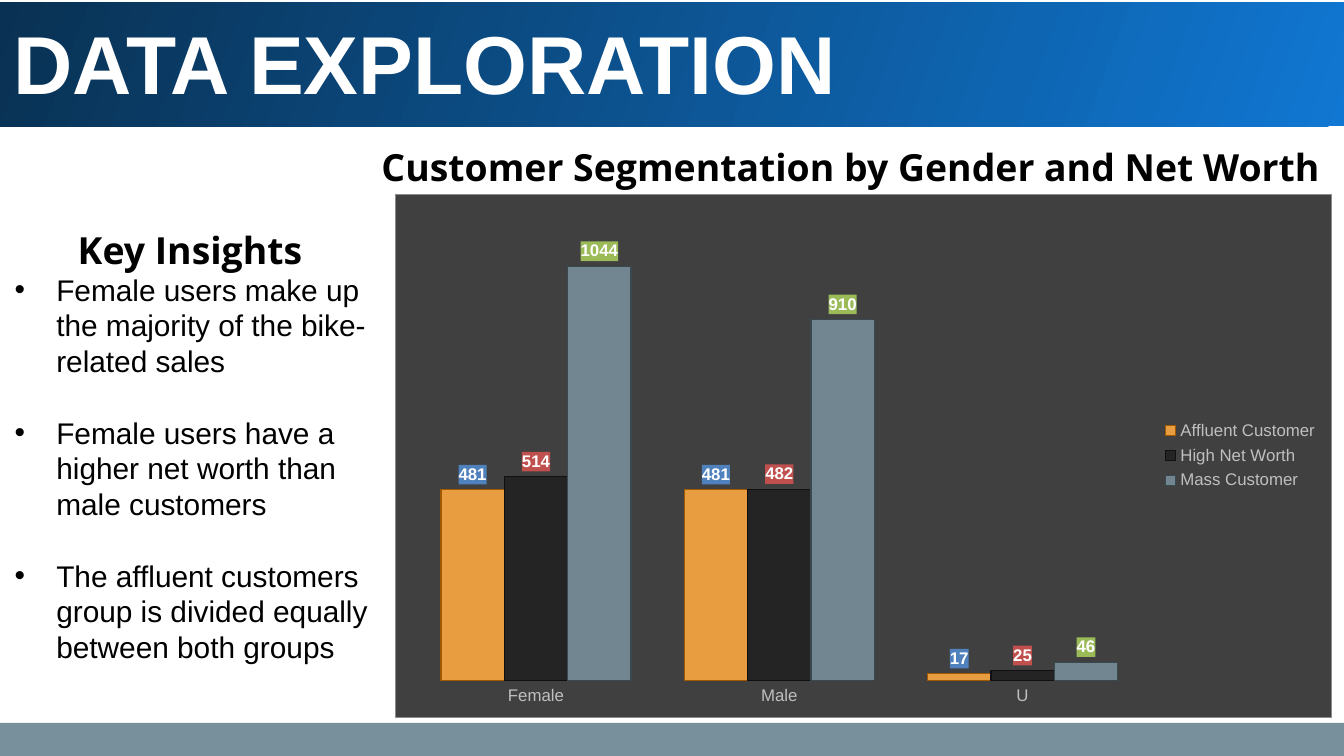
from dataclasses import dataclass

from lxml.etree import SubElement
from pptx import Presentation
from pptx.chart.data import CategoryChartData
from pptx.dml.color import RGBColor
from pptx.enum.chart import XL_CHART_TYPE, XL_LABEL_POSITION, XL_LEGEND_POSITION, XL_TICK_MARK
from pptx.enum.shapes import MSO_SHAPE
from pptx.enum.text import MSO_ANCHOR, MSO_AUTO_SIZE, PP_ALIGN
from pptx.oxml import parse_xml
from pptx.oxml.ns import nsdecls, qn
from pptx.util import Inches, Pt

Box = tuple[float, float, float, float]


@dataclass
class Style:
    size: float
    color: str = "000000"
    name: str = "Arial"
    bold: bool = False


@dataclass
class Segment:
    name: str
    values: tuple[int, ...]
    color: str
    line: str
    label_fill: str


HEADING = Style(20, name="Open Sans", bold=True)
BODY = Style(16)
TITLE = Style(44, "FFFFFF", bold=True)
AXIS = Style(9, "BFBFBF")
LABEL = Style(9, "FFFFFF", bold=True)

SEGMENTS = [
    Segment("Affluent Customer", (481, 481, 17), "FFAB40", "A05900", "4F81BD"),
    Segment("High Net Worth", (514, 482, 25), "212121", "101010", "C0504D"),
    Segment("Mass Customer", (1044, 910, 46), "78909C", "3A4950", "9BBB59"),
]
INSIGHTS = [
    "Female users make up the majority of the bike-related sales",
    "Female users have a higher net worth than male customers",
    "The affluent customers group is divided equally between both groups",
]


def rgb(value: str) -> RGBColor:
    """Turn a hex string into a colour."""
    return RGBColor.from_string(value)


def set_font(font, style: Style) -> None:
    """Apply a style to a font."""
    for key, value in {"size": Pt(style.size), "bold": style.bold, "name": style.name}.items():
        setattr(font, key, value)
    font.color.rgb = rgb(style.color)


def place(sp, box: Box) -> None:
    """Move and size a shape."""
    for key, value in zip(("left", "top", "width", "height"), box):
        setattr(sp, key, Inches(value))


def write(sp, lines: list[str], style: Style, inset: float = 0.1, **paragraph) -> None:
    """Fill a text shape, one paragraph a line."""
    tf = sp.text_frame
    frame = {f"margin_{side}": Inches(inset) for side in ("left", "top", "right", "bottom")}
    frame |= {"word_wrap": True, "auto_size": MSO_AUTO_SIZE.SHAPE_TO_FIT_TEXT,
              "vertical_anchor": MSO_ANCHOR.TOP}
    for key, value in frame.items():
        setattr(tf, key, value)
    for i, line in enumerate(lines):
        p = tf.add_paragraph() if i else tf.paragraphs[0]
        for key, value in ({"alignment": PP_ALIGN.LEFT} | paragraph).items():
            setattr(p, key, value)
        r = p.add_run()
        r.text = line
        set_font(r.font, style)


def add_text(s, box: Box, lines: list[str], style: Style, **options):
    """Add a text box and return it."""
    sp = s.shapes.add_textbox(*map(Inches, box))
    write(sp, lines, style, **options)
    return sp


def add_bar(s, box: Box):
    """Add a plain rectangle without line or shadow and return its fill."""
    sp = s.shapes.add_shape(MSO_SHAPE.RECTANGLE, *map(Inches, box))
    sp.shadow.inherit = False
    sp.line.fill.background()
    return sp.fill


def add_bullets(sp) -> None:
    """Give every paragraph a hanging bullet."""
    for p in sp.text_frame.paragraphs:
        pPr = p._p.get_or_add_pPr()
        pPr.set("marL", str(Inches(0.31)))
        pPr.set("indent", str(-Inches(0.31)))
        SubElement(pPr, qn("a:buFont")).set("typeface", "Arial")
        SubElement(pPr, qn("a:buChar")).set("char", "\u2022")


def solid_xml(color: str) -> str:
    """Return a solid fill element as text."""
    return f'<a:solidFill><a:srgbClr val="{color}"/></a:solidFill>'


def format_series(series, segment: Segment) -> None:
    """Colour a series and its value labels."""
    fill = series.format.fill
    fill.solid()
    fill.fore_color.rgb = rgb(segment.color)
    clr = series.format._element.spPr.find(f"{qn('a:solidFill')}/{qn('a:srgbClr')}")
    SubElement(clr, qn("a:alpha")).set("val", "88000")
    series.format.line.color.rgb = rgb(segment.line)
    series.format.line.width = Pt(0.75)
    labels = series.data_labels
    labels.show_value = True
    labels.position = XL_LABEL_POSITION.OUTSIDE_END
    set_font(labels.font, LABEL)
    labels._element.find(qn("c:txPr")).addprevious(
        parse_xml(f"<c:spPr {nsdecls('c', 'a')}>{solid_xml(segment.label_fill)}</c:spPr>"))


def set_layout(chart, box: Box) -> None:
    """Fix the inner plot area as fractions of the chart."""
    area = chart._chartSpace.chart.plotArea
    for old in area.findall(qn("c:layout")):
        area.remove(old)
    parts = "".join(f'<c:{k}Mode val="edge"/>' for k in "xy")
    parts += "".join(f'<c:{k} val="{v}"/>' for k, v in zip("xywh", box))
    area.insert(0, parse_xml(
        f"<c:layout {nsdecls('c')}><c:manualLayout>"
        f'<c:layoutTarget val="inner"/>{parts}</c:manualLayout></c:layout>'))


def add_segment_chart(s, box: Box) -> None:
    """Add the clustered columns of customers by gender."""
    data = CategoryChartData()
    data.categories = ["Female", "Male", "U"]
    for segment in SEGMENTS:
        data.add_series(segment.name, segment.values)
    chart = s.shapes.add_chart(XL_CHART_TYPE.COLUMN_CLUSTERED, *map(Inches, box), data).chart
    chart.has_title = False
    set_font(chart.font, Style(10))
    plot = chart.plots[0]
    plot.gap_width, plot.overlap, plot.vary_by_categories = 84, 0, False
    for series, segment in zip(plot.series, SEGMENTS):
        format_series(series, segment)
    axis = chart.category_axis
    axis.major_tick_mark = XL_TICK_MARK.NONE
    axis.format.line.fill.background()
    set_font(axis.tick_labels.font, AXIS)
    scale = {"minimum_scale": 0, "maximum_scale": 1200,
             "has_major_gridlines": False, "visible": False}
    for key, value in scale.items():
        setattr(chart.value_axis, key, value)
    chart.has_legend = True
    chart.legend.position = XL_LEGEND_POSITION.RIGHT
    chart.legend.include_in_layout = False
    set_font(chart.legend.font, AXIS)
    set_layout(chart, (0.02, 0.02, 0.78, 0.91))
    chart._chartSpace.find(qn("c:txPr")).addprevious(parse_xml(
        f"<c:spPr {nsdecls('c', 'a')}>{solid_xml('404040')}"
        f'<a:ln w="{Pt(0.5)}">{solid_xml("8C8C8C")}</a:ln></c:spPr>'))


prs = Presentation()
prs.slide_width = Inches(10)
prs.slide_height = Inches(10) * 9 // 16
s = prs.slides.add_slide(prs.slide_layouts[5])

banner = add_bar(s, (0, 0.02, 10.05, 0.92))
banner.gradient()
banner.gradient_angle = 160
for stop, color in zip(banner.gradient_stops, ("1077D2", "093153")):
    stop.color.rgb = rgb(color)

add_text(s, (2.74, 0.92, 7.37, 0.56), ["Customer Segmentation by Gender and Net Worth"],
         HEADING, line_spacing=1.15)
footer = add_bar(s, (0, 5.38, 10.03, 0.26))
footer.solid()
footer.fore_color.rgb = rgb("78909C")
add_segment_chart(s, (2.94, 1.44, 6.97, 3.9))
insights = add_text(s, (0.06, 1.97, 2.84, 3.3), INSIGHTS, BODY, inset=0.05,
                    line_spacing=1.0, space_after=Pt(19))
add_bullets(insights)

title = s.shapes.title
place(title, (0, -0.01, 7.13, 0.94))
write(title, ["DATA EXPLORATION"], TITLE)
s.shapes._spTree.append(title._element)
add_text(s, (0.48, 1.54, 2.39, 0.56), ["Key Insights"], HEADING, line_spacing=1.15)

prs.save("out.pptx")
